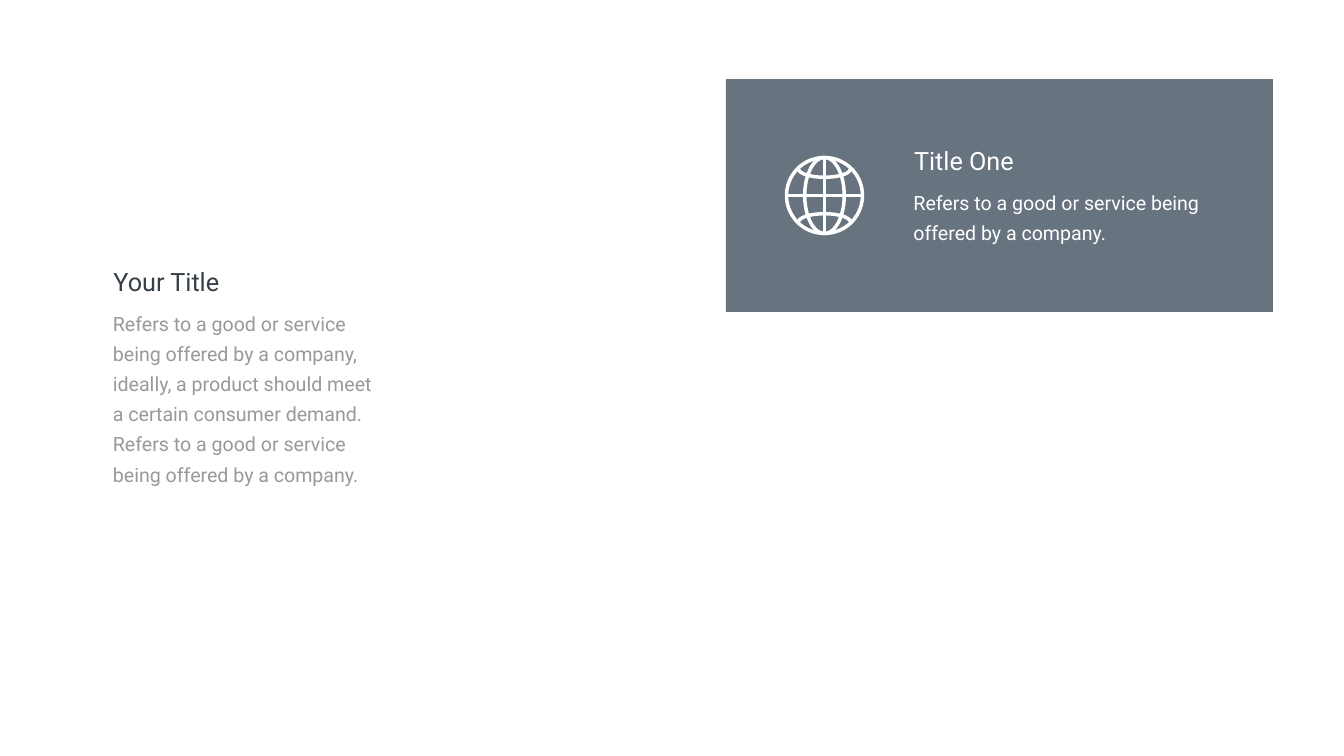
from dataclasses import dataclass
from math import cos, pi, sin

from lxml import etree
from pptx import Presentation
from pptx.dml.color import RGBColor
from pptx.enum.shapes import MSO_SHAPE
from pptx.enum.text import MSO_ANCHOR, PP_ALIGN
from pptx.oxml.ns import qn
from pptx.util import Pt

RECT = MSO_SHAPE.RECTANGLE
TOP = MSO_ANCHOR.TOP
LEFT = PP_ALIGN.LEFT


@dataclass(frozen=True)
class Theme:
    font: str = "Roboto"
    dark: str = "363E48"
    grey: str = "999999"
    white: str = "FFFFFF"
    slate: str = "425060"
    alpha: int = 80
    head: int = 36
    body: int = 28
    lead: int = 43


THEME = Theme()


def rgb(code):
    return RGBColor.from_string(code)


def add_text(slide, text, box, size, color, pad=(7.2, 3.6), lead=None):
    frame = slide.shapes.add_textbox(*map(Pt, box)).text_frame
    frame.word_wrap = True
    frame.vertical_anchor = TOP
    frame.margin_left = frame.margin_right = Pt(pad[0])
    frame.margin_top = frame.margin_bottom = Pt(pad[1])
    para = frame.paragraphs[0]
    para.alignment = LEFT
    if lead:
        para.line_spacing = Pt(lead)
    run = para.add_run()
    run.text = text
    run.font.name = THEME.font
    run.font.size = Pt(size)
    run.font.color.rgb = rgb(color)


def add_block(slide, box, title, body, head_color, body_color):
    x, y, width, height = box
    inset, drop = 11, 51
    add_text(slide, title, (x + inset, y, width - inset, drop),
             size=THEME.head, color=head_color)
    add_text(slide, body, (x, y + drop, width, height - drop),
             size=THEME.body, color=body_color, pad=(17.3, 8.6),
             lead=THEME.lead)


def curve(mid, wide, tall, start=0, end=2 * pi, steps=72):
    angles = [start + (end - start) * i / steps for i in range(steps + 1)]
    return [(mid[0] + wide * cos(a), mid[1] + tall * sin(a)) for a in angles]


def add_globe(slide, box):
    x, y, size = box
    weight = 5
    rad = (size - weight) / 2
    mid = cx, cy = x + size / 2, y + size / 2
    lat, bow, reach = 0.7 * rad, 0.22 * rad, 0.68 * rad
    strokes = [
        curve(mid, rad, rad),
        curve(mid, 0.52 * rad, rad),
        [(cx, cy - rad), (cx, cy + rad)],
        [(cx - rad, cy), (cx + rad, cy)],
        curve((cx, cy - lat), reach, bow, 0, pi),
        curve((cx, cy + lat), reach, bow, pi, 2 * pi),
    ]
    pen = None
    for stroke in strokes:
        points = [(Pt(px), Pt(py)) for px, py in stroke]
        if pen is None:
            pen = slide.shapes.build_freeform(*points[0])
        else:
            pen.move_to(*points[0])
        pen.add_line_segments(points[1:], close=False)
    globe = pen.convert_to_shape()
    globe.shadow.inherit = False
    globe.fill.background()
    globe.line.color.rgb = rgb(THEME.white)
    globe.line.width = Pt(weight)


def add_card(slide, box, title, body):
    x, y, width, height = box
    card = slide.shapes.add_shape(RECT, *map(Pt, box))
    card.shadow.inherit = False
    card.fill.solid()
    card.fill.fore_color.rgb = rgb(THEME.slate)
    card.line.fill.background()
    tint = card.fill._xPr.find(".//" + qn("a:srgbClr"))
    etree.SubElement(tint, qn("a:alpha"), val=str(THEME.alpha * 1000))
    add_block(slide, (x + 250.5, y + 90.5, 447, 152.5), title, body,
              THEME.white, THEME.white)
    size = 113.5
    add_globe(slide, (x + 84, y + (height - size) / 2, size))


def main():
    deck = Presentation()
    deck.slide_width, deck.slide_height = Pt(1919.52), Pt(1080)
    slide = deck.slides.add_slide(deck.slide_layouts[6])
    add_block(slide, (144, 376.6, 414, 327), "Your Title",
              "Refers to a good or service being offered by a company, "
              "ideally, a product should meet a certain consumer demand. "
              "Refers to a good or service being offered by a company.",
              THEME.dark, THEME.grey)
    add_card(slide, (1036.8, 113, 781.2, 332.6), "Title One",
             "Refers to a good or service being offered by a company.")
    deck.save("out.pptx")


if __name__ == "__main__":
    main()
